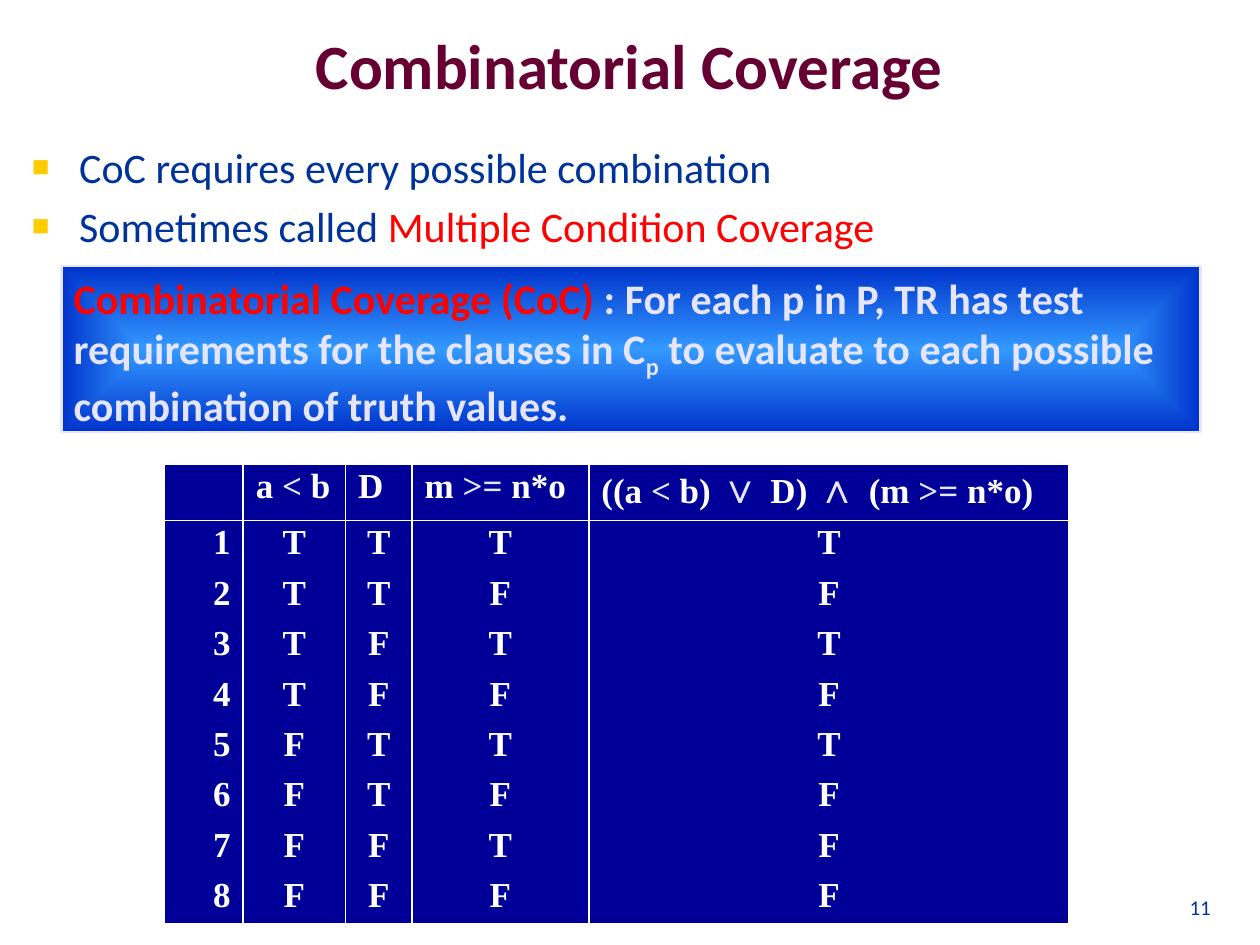
import pptx
import pptx.dml.color
import pptx.enum.shapes
import pptx.enum.text
import pptx.oxml
import pptx.oxml.ns
import pptx.util

Pt = pptx.util.Pt
ALIGN = pptx.enum.text.PP_ALIGN
ANCHOR = pptx.enum.text.MSO_ANCHOR

THEME = {
    "sans": "Calibri", "serif": "Times New Roman",
    "title": "660033", "text": "003399", "mark": "FFCC00", "key": "FF0000",
    "pale": "E5E5FF", "glow": "3399FF", "edge": "0033CC",
    "cell": "000099", "white": "FFFFFF",
    "head": 36, "body": 24, "grid": 20, "sign": 24, "small": 12,
}

# Content: a line is a list of (text, colour, optional extras)
TITLE = [("Combinatorial Coverage", "title")]
POINTS = [
    [("CoC requires every possible combination", "text")],
    [("Sometimes called ", "text"), ("Multiple Condition Coverage", "key")],
]
RULE = [
    ("Combinatorial Coverage (CoC) ", "key"),
    (": For each p in P, TR has test requirements for the clauses in C", "pale"),
    ("p", "pale", {"base": -25000}),
    (" to evaluate to each possible combination of truth values.", "pale"),
]
BIG = {"size": "sign"}
HEADS = [
    [],
    [("a ", "white"), ("<", "pale"), (" b", "white")],
    [("D", "white")],
    [("m ", "white"), (">=", "pale"), (" n*o", "white")],
    [("((a ", "white"), ("<", "pale"), (" b) ", "white"), ("∨", "pale", BIG),
     (" D) ", "white"), ("∧ ", "pale", BIG), ("(m ", "white"),
     (">=", "pale"), (" n*o)", "white")],
]
TRUTH = ["TTTT", "TTFF", "TFTT", "TFFF", "FTTT", "FTFF", "FFTF", "FFFF"]
PAGE = [("11", "text")]

# Places: left, top, width, height
BOX = {
    "title": (8, 6, 703, 62),
    "body": (11, 77, 670, 67),
    "rule": (35, 152, 651, 95),
    "page": (649, 492, 50, 37),
}
GRID = (94, 265)
COLS = [45, 58.5, 38, 101, 274.5]
TOP, ROW = 32.5, 28.8


def color(name):
    return pptx.dml.color.RGBColor.from_string(THEME[name])


def pts(box):
    return [Pt(n) for n in box]


def place(shape, box):
    shape.left, shape.top, shape.width, shape.height = pts(box)


def node(tag, inner="", **attrs):
    space = pptx.oxml.ns.nsdecls("a")
    pairs = " ".join(f'{k}="{v}"' for k, v in attrs.items())
    return pptx.oxml.parse_xml(f"<a:{tag} {space} {pairs}>{inner}</a:{tag}>")


def write(par, line, size, face="sans", bold=False, align=ALIGN.LEFT):
    par.alignment = align
    font = par.font
    font.name, font.size, font.bold = THEME[face], Pt(THEME[size]), bold
    tints = {part[1] for part in line}
    if len(tints) == 1:
        font.color.rgb = color(line[0][1])
    for text, tint, *more in line:
        run = par.add_run()
        run.text = text
        if len(tints) > 1:
            run.font.color.rgb = color(tint)
        extra = more[0] if more else {}
        if "size" in extra:
            run.font.size = Pt(THEME[extra["size"]])
        if "base" in extra:
            run._r.get_or_add_rPr().set("baseline", str(extra["base"]))


def setup(frame, anchor=ANCHOR.TOP):
    frame.word_wrap = True
    frame.auto_size = pptx.enum.text.MSO_AUTO_SIZE.NONE
    frame.vertical_anchor = anchor
    return frame


def bullet(par):
    props = par._p.get_or_add_pPr()
    props.set("marL", str(Pt(27)))
    props.set("indent", str(-Pt(27)))
    props.append(node("buClr", f'<a:srgbClr val="{THEME["mark"]}"/>'))
    props.append(node("buSzPct", val=70000))
    props.append(node("buFont", typeface="Arial"))
    props.append(node("buChar", char="■"))


def border(cell, sides):
    props = cell._tc.get_or_add_tcPr()
    solid = f'<a:solidFill><a:srgbClr val="{THEME["white"]}"/></a:solidFill>'
    for spot, side in enumerate("LRTB"):
        ink = solid if side in sides else "<a:noFill/>"
        props.insert(spot, node("ln" + side, ink, w=Pt(1)))


def add_rule(slide):
    kind = pptx.enum.shapes.MSO_SHAPE.RECTANGLE
    shape = slide.shapes.add_shape(kind, *pts(BOX["rule"]))
    shape.shadow.inherit = False
    shape.line.color.rgb = color("pale")
    shape.line.width = Pt(1.5)
    # Gradient that runs from the centre to the edges
    shape.fill.gradient()
    for stop, tint in zip(shape.fill.gradient_stops, ("glow", "edge")):
        stop.color.rgb = color(tint)
    line = shape._element.spPr.find(".//" + pptx.oxml.ns.qn("a:lin"))
    mid = '<a:fillToRect l="50000" t="50000" r="50000" b="50000"/>'
    line.getparent().replace(line, node("path", mid, path="rect"))
    write(setup(shape.text_frame).paragraphs[0], RULE, "body", bold=True)


def add_grid(slide):
    rows = [HEADS]
    for num, marks in enumerate(TRUTH, 1):
        rows.append([[(t, "white")] for t in (str(num), *marks)])
    high = [TOP] + [ROW] * len(TRUTH)
    table = slide.shapes.add_table(
        len(rows), len(COLS), *pts((*GRID, sum(COLS), sum(high)))).table
    table.horz_banding = table.first_row = False
    for col, wide in zip(table.columns, COLS):
        col.width = Pt(wide)
    for r, row in enumerate(rows):
        table.rows[r].height = Pt(high[r])
        sides = "LR" + ("T" if r < 2 else "") + ("B" if r in (0, len(TRUTH)) else "")
        for c, line in enumerate(row):
            cell = table.cell(r, c)
            cell.fill.solid()
            cell.fill.fore_color.rgb = color("cell")
            border(cell, sides)
            align = ALIGN.LEFT if r == 0 else ALIGN.CENTER if c else ALIGN.RIGHT
            par = cell.text_frame.paragraphs[0]
            par.line_spacing = 0.9
            write(par, line, "grid", "serif", True, align)


def main():
    deck = pptx.Presentation()
    deck.slide_width, deck.slide_height = Pt(720), Pt(540)
    slide = deck.slides.add_slide(deck.slide_layouts[1])

    # Title
    title = slide.shapes.title
    place(title, BOX["title"])
    write(setup(title.text_frame, ANCHOR.MIDDLE).paragraphs[0], TITLE,
          "head", bold=True, align=ALIGN.CENTER)

    # Bullet list
    body = slide.placeholders[1]
    place(body, BOX["body"])
    frame = setup(body.text_frame)
    for i, line in enumerate(POINTS):
        par = frame.add_paragraph() if i else frame.paragraphs[0]
        bullet(par)
        par.space_before = Pt(5 if i else 0)
        write(par, line, "body")

    # Definition and truth table
    add_rule(slide)
    add_grid(slide)

    # Page number
    page = slide.shapes.add_textbox(*pts(BOX["page"]))
    write(setup(page.text_frame, ANCHOR.BOTTOM).paragraphs[0], PAGE,
          "small", align=ALIGN.RIGHT)

    deck.save("out.pptx")


if __name__ == "__main__":
    main()
